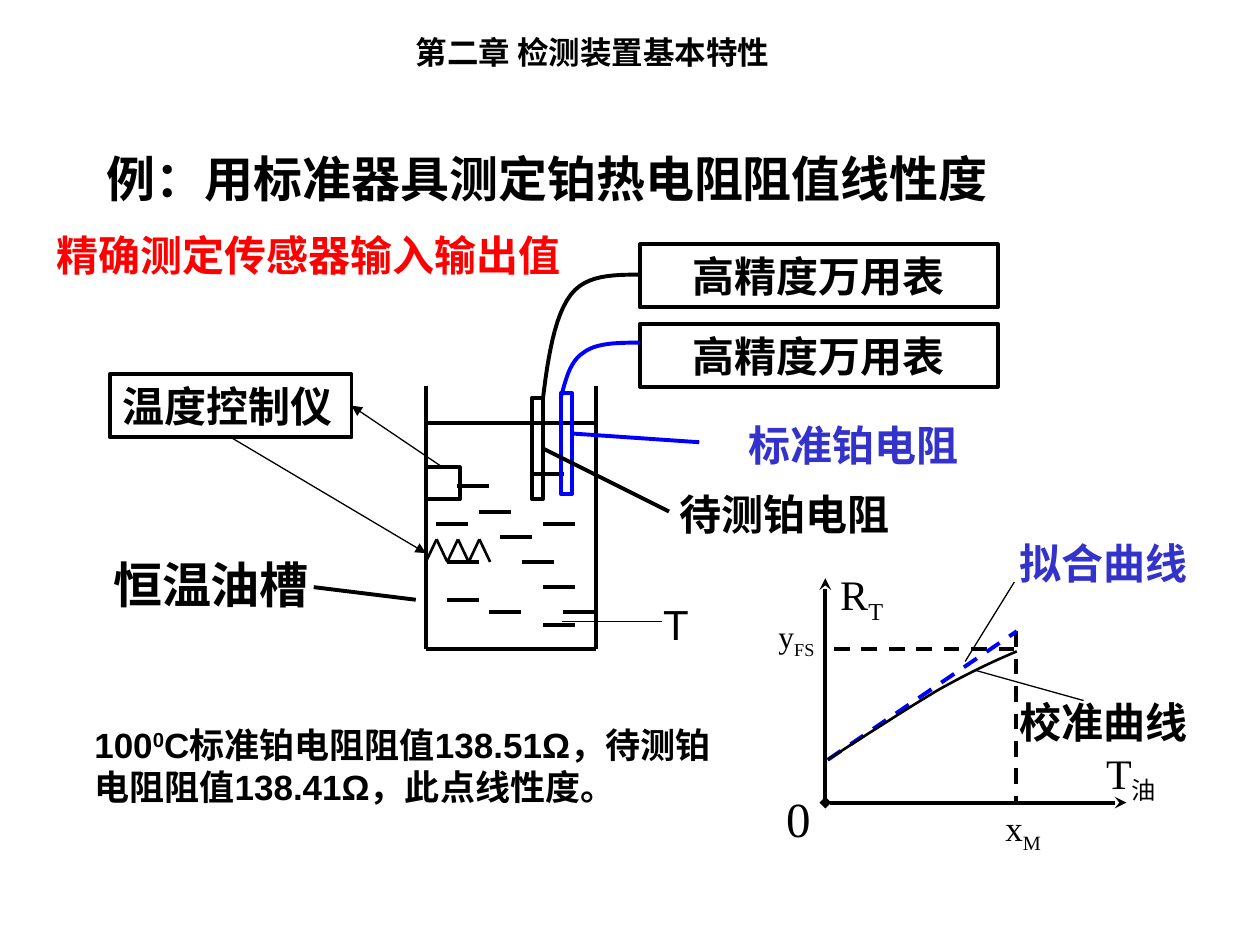
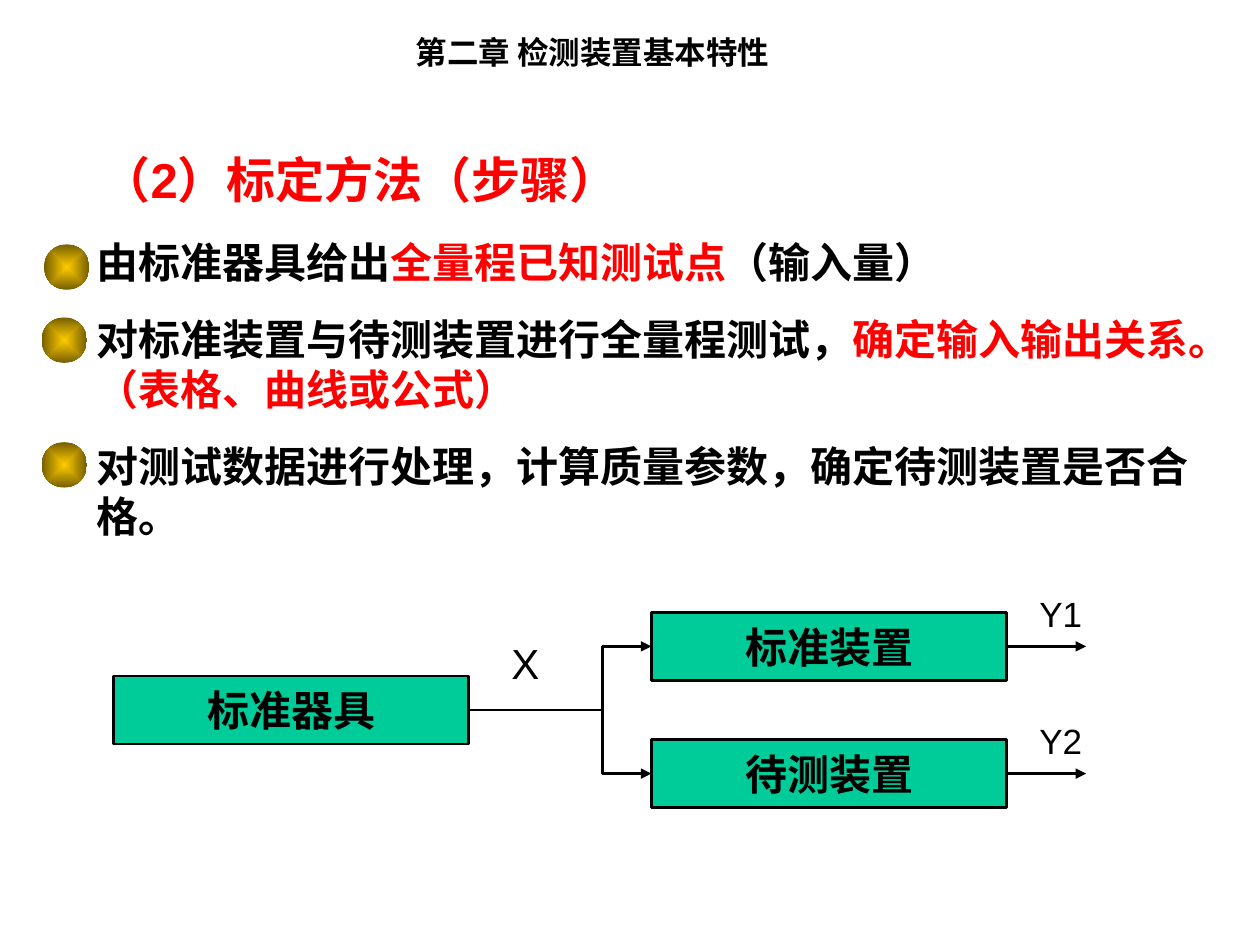
"""Builds two slides on calibrating a platinum thermal resistor."""
from dataclasses import dataclass
from typing import Optional

from lxml import etree
from pptx import Presentation
from pptx.dml.color import RGBColor
from pptx.enum.dml import MSO_LINE
from pptx.enum.shapes import MSO_CONNECTOR, MSO_SHAPE
from pptx.enum.text import MSO_ANCHOR, PP_ALIGN
from pptx.oxml.ns import qn
from pptx.util import Inches, Pt

RECT, OVAL = MSO_SHAPE.RECTANGLE, MSO_SHAPE.OVAL
STRAIGHT, DASH = MSO_CONNECTOR.STRAIGHT, MSO_LINE.DASH
LEFT, MID = PP_ALIGN.LEFT, PP_ALIGN.CENTER
TOP, CENTER = MSO_ANCHOR.TOP, MSO_ANCHOR.MIDDLE

COLS, ROWS = 100, 75
WIDE, HIGH = Inches(10), Inches(7.5)
BLACK, RED, BLUE, NAVY = "000000", "FF0000", "0000FF", "3333CC"
GREEN, GOLD, BROWN = "00CC99", "FFCC00", "765E00"
SANS, SERIF = "Arial", "Times New Roman"
THIN, FINE, BOLD = 0.75, 1.5, 2.25
UP, BELOW, BEFORE, AFTER = 0, 2, 1, 3


@dataclass
class Piece:
    """A run of text with its own colour or baseline shift."""
    text: str
    color: Optional[str] = None
    shift: int = 0


@dataclass
class Label:
    """Text at a grid place; each paragraph is a list of pieces."""
    place: tuple
    paras: list
    size: float = 24
    color: str = BLACK
    bold: bool = True
    font: str = SANS
    align: PP_ALIGN = LEFT
    wrap: bool = True
    lead: Optional[float] = None


@dataclass
class Line:
    """A straight line between grid points, or (shape, side) joints."""
    start: tuple
    end: tuple
    width: float = BOLD
    color: str = BLACK
    dash: bool = False
    head: str = ""
    tail: str = ""


def rgb(code: str) -> RGBColor:
    """Turn a hex string into a colour."""
    return RGBColor.from_string(code)


def col(count: float) -> int:
    """Length of a number of grid columns."""
    return round(WIDE * count / COLS)


def row(count: float) -> int:
    """Length of a number of grid rows."""
    return round(HIGH * count / ROWS)


def frame(place: tuple) -> tuple:
    """Turn left, top, width and height in cells into lengths."""
    x, y, w, h = place
    return col(x), row(y), col(w), row(h)


def say(*texts: str) -> list:
    """Make one paragraph whose later texts are subscripts."""
    return [[Piece(t, shift=-25 if i else 0) for i, t in enumerate(texts)]]


def write(shape, label: Label, anchor=TOP) -> None:
    """Put the label's text into a shape."""
    body = shape.text_frame
    body.word_wrap = label.wrap
    body.vertical_anchor = anchor
    for i, pieces in enumerate(label.paras):
        para = body.add_paragraph() if i else body.paragraphs[0]
        para.alignment = label.align
        if i:
            para.space_before = Pt(15)
        if label.lead:
            para.line_spacing = label.lead
        for piece in pieces:
            run = para.add_run()
            run.text = piece.text
            run.font.name = label.font
            run.font.size = Pt(label.size)
            run.font.bold = label.bold
            run.font.color.rgb = rgb(piece.color or label.color)
            if piece.shift:
                run._r.get_or_add_rPr().set("baseline", str(piece.shift * 1000))


def note(slide, label: Label):
    """Add a text box."""
    box = slide.shapes.add_textbox(*frame(label.place))
    write(box, label)
    return box


def block(slide, place: tuple, text: str = "", fill: str = "",
          color: str = BLACK, width: float = BOLD, align=MID):
    """Add an outlined rectangle with optional text."""
    box = slide.shapes.add_shape(RECT, *frame(place))
    box.shadow.inherit = False
    if fill:
        box.fill.solid()
        box.fill.fore_color.rgb = rgb(fill)
    else:
        box.fill.background()
    box.line.color.rgb = rgb(color)
    box.line.width = Pt(width)
    if text:
        write(box, Label(place, say(text), align=align, wrap=align == LEFT), CENTER)
    return box


def draw(slide, line: Line) -> None:
    """Add a connector, joined to shapes where its ends name them."""
    ends = (line.start, line.end)
    joined = [hasattr(end[0], "shape_id") for end in ends]
    spots = [(0, 0) if fixed else (col(end[0]), row(end[1]))
             for end, fixed in zip(ends, joined)]
    link = slide.shapes.add_connector(STRAIGHT, *spots[0], *spots[1])
    if joined[0]:
        link.begin_connect(*line.start)
    if joined[1]:
        link.end_connect(*line.end)
    link.line.color.rgb = rgb(line.color)
    link.line.width = Pt(line.width)
    if line.dash:
        link.line.dash_style = DASH
    props = link._element.spPr
    for tag, kind in (("a:headEnd", line.head), ("a:tailEnd", line.tail)):
        if kind:
            etree.SubElement(props.find(qn("a:ln")), qn(tag), type=kind)
    etree.SubElement(props, qn("a:effectLst"))


def curve(slide, points: list, color: str = BLACK, width: float = BOLD) -> None:
    """Trace joined cubic curves through grid points."""
    spots = []
    for i in range(0, len(points) - 1, 3):
        for step in range(1, 13):
            t = step / 12
            parts = ((1 - t) ** 3, 3 * t * (1 - t) ** 2, 3 * t * t * (1 - t), t ** 3)
            x, y = (sum(p * q[axis] for p, q in zip(parts, points[i:i + 4]))
                    for axis in (0, 1))
            spots.append((col(x), row(y)))
    pen = slide.shapes.build_freeform(col(points[0][0]), row(points[0][1]))
    pen.add_line_segments(spots, close=False)
    trace = pen.convert_to_shape()
    trace.shadow.inherit = False
    trace.fill.background()
    trace.line.color.rgb = rgb(color)
    trace.line.width = Pt(width)


def bead(slide, x: float, y: float) -> None:
    """Add a gold ball with a gradient from its centre."""
    ball = slide.shapes.add_shape(OVAL, *frame((x, y, 3.6, 3.6)))
    ball.shadow.inherit = False
    ball.line.fill.background()
    ball.fill.gradient()
    for stop, code in zip(ball.fill.gradient_stops, (GOLD, BROWN)):
        stop.color.rgb = rgb(code)
    grad = ball._element.spPr.find(qn("a:gradFill"))
    grad.remove(grad.find(qn("a:lin")))
    way = etree.SubElement(grad, qn("a:path"), path="rect")
    etree.SubElement(way, qn("a:fillToRect"), l="50000", t="50000", r="50000", b="50000")


def tank(slide) -> None:
    """Draw the oil bath with its probes, meters and controller."""
    left, right, base = 33.8, 47.3, 51.5
    for x in (left, right):
        draw(slide, Line((x, 30.6), (x, base)))
    for y in (base, 33.6):
        draw(slide, Line((left, y), (right, y)))
    waves = [(36.3 + 1.7 * i, 38.6 + 2 * i) for i in range(5)]
    waves += [(38.8, 48.6), (35.5, 44.6), (42.2, 37.6), (43.1, 41.6),
              (43.1, 49.6), (35.5, 47.6), (34.6, 41.6), (44.7, 48.6)]
    for x, y in waves:
        draw(slide, Line((x, y), (x + 2.55, y)))
    for i in range(3):
        x = left + 1.7 * i
        draw(slide, Line((x, 44.6), (x + 0.85, 42.8), FINE))
        draw(slide, Line((x + 0.85, 42.8), (x + 1.7, 44.6), FINE))
    probe = block(slide, (42.2, 31.6, 0.9, 8))
    block(slide, (44.5, 31.2, 0.9, 8), color=BLUE)
    for y in (19.4, 25.7):
        block(slide, (50.8, y, 28.4, 5), "高精度万用表")
    curve(slide, [(43.1, 31.6), (43.5, 28.4), (44, 25.1), (45.3, 23.4),
                  (46.5, 21.8), (48.7, 21.8), (50.8, 21.8)])
    curve(slide, [(44.5, 31.6), (44.9, 30.2), (45.2, 28.7), (46.3, 28),
                  (47.3, 27.2), (49.1, 27.2), (50.8, 27.2)], BLUE)
    gauge = block(slide, (8.7, 29.7, 19.2, 5), "温度控制仪", align=LEFT)
    sensor = block(slide, (left, 37.1, 2.7, 2.5))
    for line in (Line((probe, AFTER), (53.1, 40.6)),
                 Line((45.3, 34.4), (55.5, 35.1), color=BLUE),
                 Line((24.9, 46.6), (33, 47.6)),
                 Line((44.6, 49.3), (52.5, 49.3), THIN),
                 Line((gauge, BELOW), (left, 43.9), THIN, tail="triangle"),
                 Line((sensor, UP), (gauge, AFTER), THIN, tail="triangle")):
        draw(slide, line)
    for label in (Label((6.6, 43.5, 20.3, 5.7), say("恒温油槽"), 28, align=MID),
                  Label((50, 38.3, 24.5, 5), say("待测铂电阻"), align=MID),
                  Label((55.5, 32.8, 24.5, 5), say("标准铂电阻"), color=NAVY, align=MID),
                  Label((50.1, 47, 7.1, 5), say("T"), bold=False, align=MID)):
        note(slide, label)


def graph(slide) -> None:
    """Draw the fitted line and the calibration curve on axes."""
    zero = (65.5, 63.7)
    for line in (Line(zero, (65.5, 45.9), tail="stealth"),
                 Line(zero, (89.4, 63.7), head="diamond", tail="stealth"),
                 Line((80.6, 50.1), (80.6, 63.7), dash=True),
                 Line((80.5, 51.5), (65.4, 51.5), dash=True),
                 Line((65.7, 60.3), (80.7, 50.1), color=BLUE, dash=True),
                 Line((80.5, 46.2), (76.6, 52.5), THIN),
                 Line((86, 55.6), (77.4, 53.2), THIN)):
        draw(slide, line)
    curve(slide, [(65.7, 60.3), (68.8, 58.3), (71.9, 56.3), (74.4, 54.8),
                  (76.9, 53.4), (78.8, 52.5), (80.7, 51.7)], width=FINE)
    for place, texts, size in (((86.8, 58.8, 8.2, 5.6), ("T", "油"), 24),
                               ((65.7, 44.6, 13.2, 5.6), ("R", "T"), 24),
                               ((60.8, 48.5, 5.1, 4.4), ("y", "FS"), 18),
                               ((61.4, 62.1, 5.1, 5.7), ("0",), 28),
                               ((78.8, 63.5, 5.2, 4.8), ("x", "M"), 20)):
        note(slide, Label(place, say(*texts), size, bold=False, font=SERIF))
    for y, text, color in ((54.8, "校准曲线", BLACK), (42.2, "拟合曲线", NAVY)):
        note(slide, Label((79.9, y, 15.3, 5), say(text), color=color, wrap=False))


def sample(slide) -> None:
    """Fill the slide with the worked example."""
    tank(slide)
    graph(slide)
    note(slide, Label((7.5, 10.4, 81.2, 6.7), say("例：用标准器具测定铂热电阻阻值线性度"),
                      28, lead=1.2))
    note(slide, Label((3.5, 17.7, 44.9, 5), say("精确测定传感器输入输出值"), color=RED))
    note(slide, Label((6.5, 56.9, 52.8, 7.7), [[
        Piece("100"), Piece("0", shift=30),
        Piece("C标准铂电阻阻值138.51Ω，待测铂电阻阻值138.41Ω，此点线性度。")]], 20))


def method(slide) -> None:
    """Fill the slide with the steps and their block diagram."""
    note(slide, Label((7.1, 11.4, 56.3, 5.7), say("（2）标定方法（步骤）"), 28, RED))
    note(slide, Label((6.7, 18.3, 91.7, 25.2), [
        [Piece("由标准器具给出"), Piece("全量程已知测试点", RED), Piece("（输入量）")],
        [Piece("对标准装置与待测装置进行全量程测试，"),
         Piece("确定输入输出关系。（表格、曲线或公式）", RED)],
        [Piece("对测试数据进行处理，计算质量参数，确定待测装置是否合格。")]]))
    for x, y in ((3.5, 19.4), (3.3, 25.2), (3.3, 35.1)):
        bead(slide, x, y)
    fork, high, low = 47.8, 51.3, 61.4
    mid = (high + low) / 2
    size = (28.2, 5.4)
    source = block(slide, (9, mid - 2.7, *size), "标准器具", GREEN, width=FINE)
    draw(slide, Line((source, AFTER), (fork, mid), FINE))
    draw(slide, Line((fork, high), (fork, low), FINE))
    for y, text, out in ((high, "标准装置", "Y1"), (low, "待测装置", "Y2")):
        unit = block(slide, (51.7, y - 2.7, *size), text, GREEN, width=FINE)
        draw(slide, Line((fork, y), (unit, BEFORE), FINE, tail="triangle"))
        draw(slide, Line((unit, AFTER), (86.2, y), FINE, tail="triangle"))
        note(slide, Label((81.5, y - 4.8, 7.8, 4.4), say(out), 20, bold=False))
    note(slide, Label((39.6, 50.1, 6.3, 5), say("X"), bold=False))


def main() -> None:
    """Build and save the deck."""
    deck = Presentation()
    deck.slide_width, deck.slide_height = WIDE, HIGH
    blank = deck.slide_layouts[6]
    for fill in (sample, method):
        slide = deck.slides.add_slide(blank)
        note(slide, Label((32, 2.1, 30.6, 4), say("第二章 检测装置基本特性"), 18, wrap=False))
        fill(slide)
    deck.save("out.pptx")


if __name__ == "__main__":
    main()
